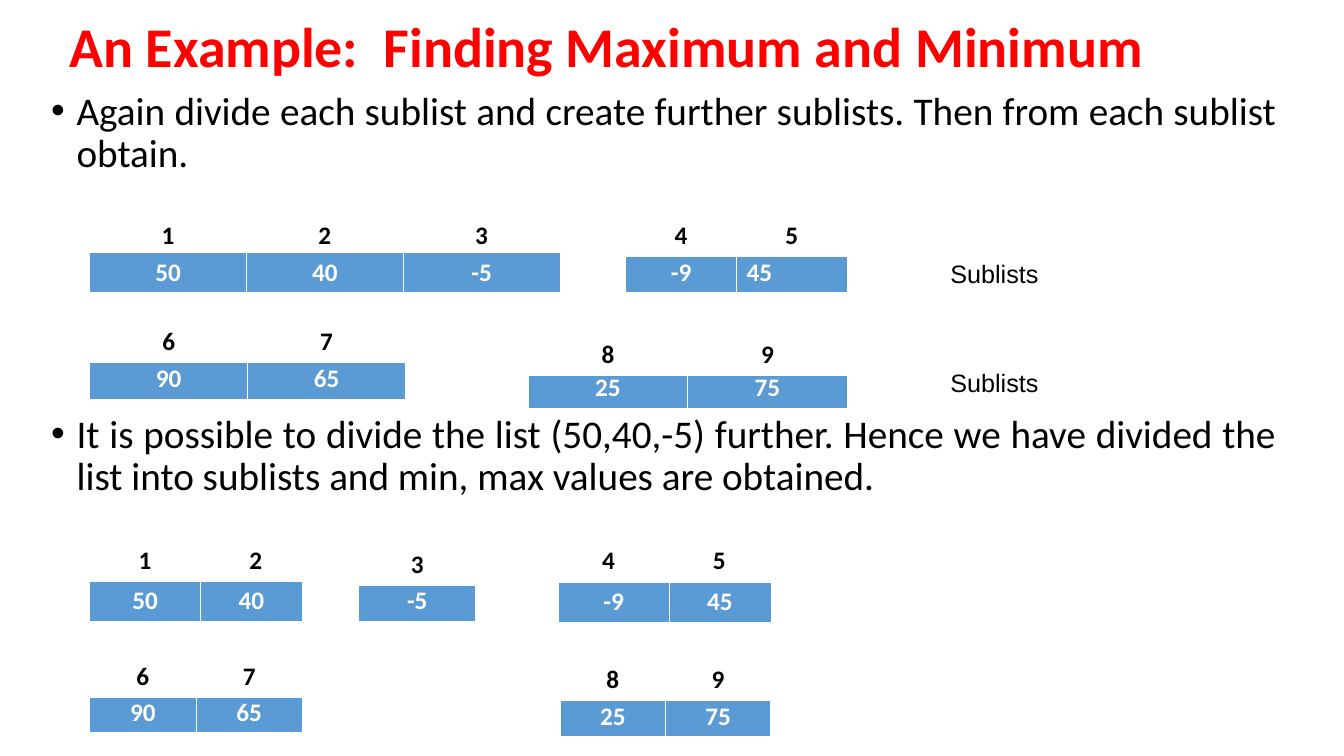
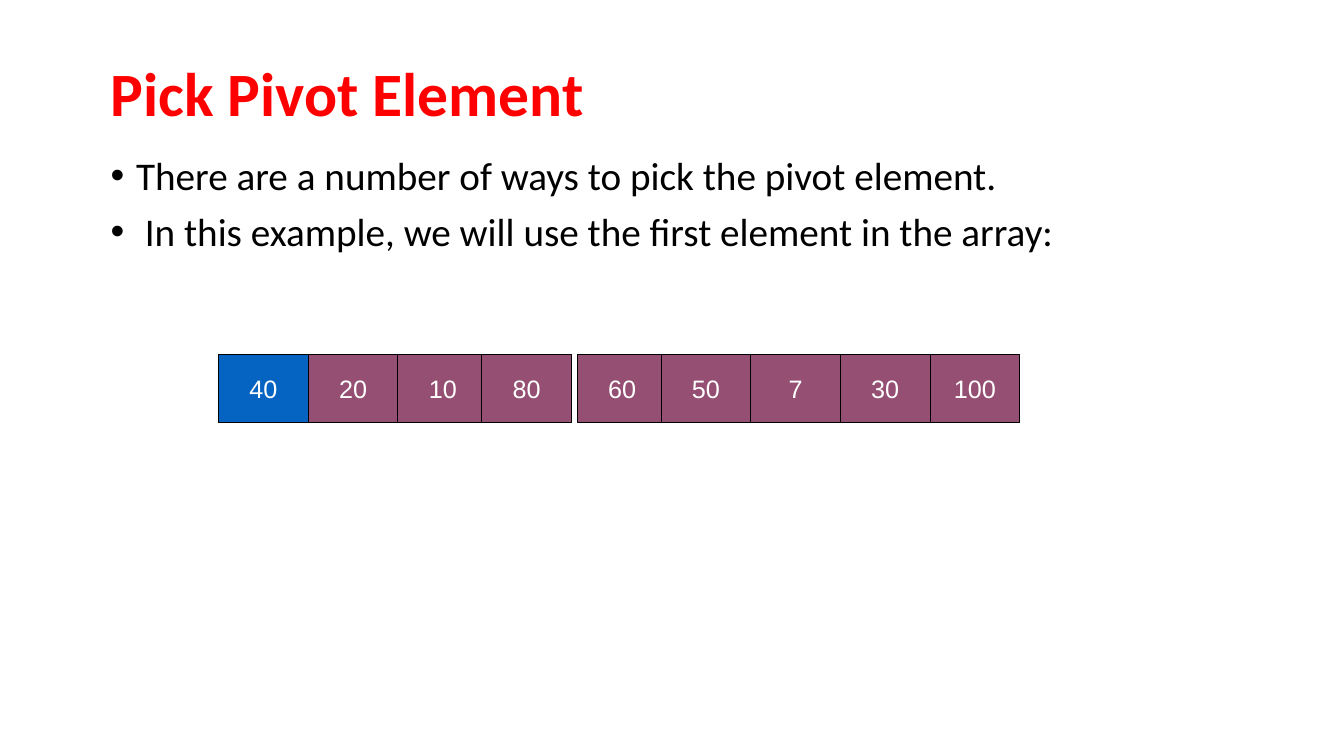
"""Build two slides on divide-and-conquer sublists and pivot selection."""
from dataclasses import dataclass

from lxml.etree import SubElement
from pptx import Presentation
from pptx.dml.color import RGBColor
from pptx.enum.shapes import MSO_SHAPE as Shape
from pptx.enum.text import MSO_ANCHOR as Anchor, PP_ALIGN as Align
from pptx.oxml.ns import qn
from pptx.slide import Slide
from pptx.table import _Cell as Cell
from pptx.text.text import TextFrame, _Paragraph as Paragraph
from pptx.util import Cm, Pt

RED, BLACK, WHITE = "FF0000", "000000", "FFFFFF"
VALUE_BLUE, PIVOT_BLUE, PLUM = "5B9BD5", "0563C1", "954F72"
HEADING_FONT, LABEL_FONT = "Calibri", "Arial"
ROW_HEIGHT = 1.03
BOX_WIDTH, BOX_HEIGHT, BOX_TOP, BOX_PITCH = 2.26, 1.7, 8.94, 2.26


@dataclass(frozen=True)
class Area:
    """A rectangle on the slide, in centimetres."""

    left: float
    top: float
    width: float
    height: float


@dataclass(frozen=True)
class Bullet:
    """A bulleted paragraph and the space above it in points."""

    text: str
    space_before: float = 10


@dataclass(frozen=True)
class Sublist:
    """A row of values below a row of consecutive positions."""

    left: float
    label_top: float
    value_top: float
    widths: tuple[float, ...]
    first_position: int
    values: tuple[str, ...]
    value_shift: float = 0
    labels_behind: bool = False
    left_aligned: int | None = None


@dataclass(frozen=True)
class BoxRun:
    """Array boxes that follow each other at an equal pitch."""

    left: float
    values: tuple[str, ...]


SUBLISTS = (
    Sublist(2.26, 5.44, 6.35, (3.95,) * 3, 1, ("50", "40", "-5"), labels_behind=True),
    Sublist(15.77, 5.44, 6.35, (2.79,) * 2, 4, ("-9", "45"), left_aligned=1),
    Sublist(2.26, 8.1, 9.04, (3.98,) * 2, 6, ("90", "65")),
    Sublist(13.31, 8.43, 9.27, (4.02,) * 2, 8, ("25", "75")),
    Sublist(2.26, 13.61, 14.63, (2.79, 2.57), 1, ("50", "40")),
    Sublist(9.04, 13.72, 14.63, (2.95,), 3, ("-5",)),
    Sublist(13.94, 13.61, 14.66, (2.79, 2.57), 4, ("-9", "45"), value_shift=0.13),
    Sublist(2.26, 16.54, 17.45, (2.68,) * 2, 6, ("90", "65")),
    Sublist(14.12, 16.61, 17.55, (2.65,) * 2, 8, ("25", "75")),
)
ARRAY = (
    BoxRun(5.51, ("40", "20", "10")),
    BoxRun(12.14, ("80",)),
    BoxRun(14.55, ("60",)),
    BoxRun(16.66, ("50", "7", "30", "100")),
)


def color(value: str) -> RGBColor:
    """Turn a hex string into a colour."""
    return RGBColor.from_string(value)


def format_runs(paragraph: Paragraph, font: str, size: float, ink: str, bold: bool = False) -> None:
    """Give every run of a paragraph the same font."""
    for run in paragraph.runs:
        run.font.name = font
        run.font.size = Pt(size)
        run.font.bold = bold
        run.font.color.rgb = color(ink)


def add_text_frame(slide: Slide, area: Area) -> TextFrame:
    """Add a wrapping text box and return its frame."""
    shape = slide.shapes.add_textbox(Cm(area.left), Cm(area.top), Cm(area.width), Cm(area.height))
    shape.text_frame.word_wrap = True
    return shape.text_frame


def add_title(slide: Slide, area: Area, text: str, size: float) -> None:
    """Add a slide title in bold red."""
    frame = add_text_frame(slide, area)
    frame.vertical_anchor = Anchor.MIDDLE
    frame.text = text
    paragraph = frame.paragraphs[0]
    paragraph.line_spacing = 0.9
    format_runs(paragraph, HEADING_FONT, size, RED, bold=True)


def add_bullets(slide: Slide, area: Area, bullets: tuple[Bullet, ...], align: Align) -> None:
    """Add bulleted body text with hanging indents."""
    frame = add_text_frame(slide, area)
    frame.text = "\n".join(bullet.text for bullet in bullets)
    for paragraph, bullet in zip(frame.paragraphs, bullets):
        paragraph.alignment = align
        paragraph.line_spacing = 0.9
        paragraph.space_before = Pt(bullet.space_before)
        format_runs(paragraph, HEADING_FONT, 28, BLACK)
        properties = paragraph._p.get_or_add_pPr()
        indent = Cm(0.64)
        properties.set("marL", str(indent))
        properties.set("indent", str(-indent))
        SubElement(properties, qn("a:buFont"), typeface=LABEL_FONT)
        SubElement(properties, qn("a:buChar"), char="•")


def add_label(slide: Slide, area: Area, text: str) -> None:
    """Add a plain side label."""
    frame = add_text_frame(slide, area)
    frame.text = text
    format_runs(frame.paragraphs[0], LABEL_FONT, 18, BLACK)


def add_borders(cell: Cell, bottom: float) -> None:
    """Draw white borders around a cell."""
    properties = cell._tc.get_or_add_tcPr()
    for tag, points in (("lnL", 0.45), ("lnR", 0.45), ("lnT", 0.45), ("lnB", bottom)):
        line = SubElement(properties, qn(f"a:{tag}"), w=str(Pt(points)))
        fill = SubElement(line, qn("a:solidFill"))
        SubElement(fill, qn("a:srgbClr"), val=WHITE)


def add_row(slide: Slide, left: float, top: float, widths: tuple[float, ...], texts: tuple[str, ...],
            fill: str, ink: str, bottom: float, left_aligned: int | None = None) -> None:
    """Add a table of one row."""
    table = slide.shapes.add_table(
        1, len(widths), Cm(left), Cm(top), Cm(sum(widths)), Cm(ROW_HEIGHT)).table
    table.first_row = table.horz_banding = False
    for index, (width, text) in enumerate(zip(widths, texts)):
        table.columns[index].width = Cm(width)
        cell = table.cell(0, index)
        add_borders(cell, bottom)
        cell.fill.solid()
        cell.fill.fore_color.rgb = color(fill)
        cell.text_frame.text = text
        paragraph = cell.text_frame.paragraphs[0]
        paragraph.alignment = Align.LEFT if index == left_aligned else Align.CENTER
        format_runs(paragraph, HEADING_FONT, 18, ink, bold=True)


def add_position_row(slide: Slide, sublist: Sublist) -> None:
    """Add the positions of a sublist in equal columns."""
    count = len(sublist.values)
    positions = tuple(str(sublist.first_position + index) for index in range(count))
    add_row(slide, sublist.left, sublist.label_top, sublist.widths[:1] * count,
            positions, WHITE, BLACK, 0.45)


def add_value_row(slide: Slide, sublist: Sublist) -> None:
    """Add the values of a sublist."""
    add_row(slide, sublist.left + sublist.value_shift, sublist.value_top, sublist.widths,
            sublist.values, VALUE_BLUE, WHITE, 1.47, sublist.left_aligned)


def add_sublist(slide: Slide, sublist: Sublist) -> None:
    """Add both rows of a sublist in stacking order."""
    rows = (add_value_row, add_position_row)
    for add in reversed(rows) if sublist.labels_behind else rows:
        add(slide, sublist)


def add_box(slide: Slide, left: float, text: str, fill: str) -> None:
    """Add one array element."""
    shape = slide.shapes.add_shape(
        Shape.RECTANGLE, Cm(left), Cm(BOX_TOP), Cm(BOX_WIDTH), Cm(BOX_HEIGHT))
    shape.shadow.inherit = False
    shape.fill.solid()
    shape.fill.fore_color.rgb = color(fill)
    shape.line.color.rgb = color(BLACK)
    shape.line.width = Pt(0.75)
    frame = shape.text_frame
    frame.word_wrap = False
    frame.vertical_anchor = Anchor.MIDDLE
    frame.text = text
    frame.paragraphs[0].alignment = Align.CENTER
    format_runs(frame.paragraphs[0], LABEL_FONT, 18, WHITE)


def build_sublists_slide(slide: Slide) -> None:
    """Show how the list is divided into sublists."""
    add_title(slide, Area(1.5, 0.3, 30.48, 1.88), "An Example:  Finding Maximum and Minimum", 40)
    bullets = (
        Bullet("Again divide each sublist and create further sublists. "
               "Then from each sublist obtain."),
        Bullet("It is possible to divide the list (50,40,-5) further. Hence we have divided "
               "the list into sublists and min, max values are obtained.", space_before=170),
    )
    add_bullets(slide, Area(1.04, 2.18, 31.37, 16.38), bullets, Align.JUSTIFY)
    for top in (6.38, 9.14):
        add_label(slide, Area(23.7, top, 3.2, 1.02), "Sublists")
    for sublist in SUBLISTS:
        add_sublist(slide, sublist)


def build_pivot_slide(slide: Slide) -> None:
    """Show the array with its first element as pivot."""
    add_title(slide, Area(2.54, 0.84, 28.78, 3.18), "Pick Pivot Element", 44)
    bullets = (
        Bullet("There are a number of ways to pick the pivot element."),
        Bullet(" In this example, we will use the first element in the array:"),
    )
    add_bullets(slide, Area(2.54, 3.81, 28.78, 11.43), bullets, Align.LEFT)
    pivot = ARRAY[0].values[0]
    for run in ARRAY:
        for index, value in enumerate(run.values):
            fill = PIVOT_BLUE if value == pivot else PLUM
            add_box(slide, run.left + index * BOX_PITCH, value, fill)


def main() -> None:
    """Build and save the presentation."""
    presentation = Presentation()
    presentation.slide_width = Cm(33.87)
    presentation.slide_height = Cm(19.05)
    blank = presentation.slide_layouts[6]
    for build in (build_sublists_slide, build_pivot_slide):
        build(presentation.slides.add_slide(blank))
    presentation.save("out.pptx")


if __name__ == "__main__":
    main()
